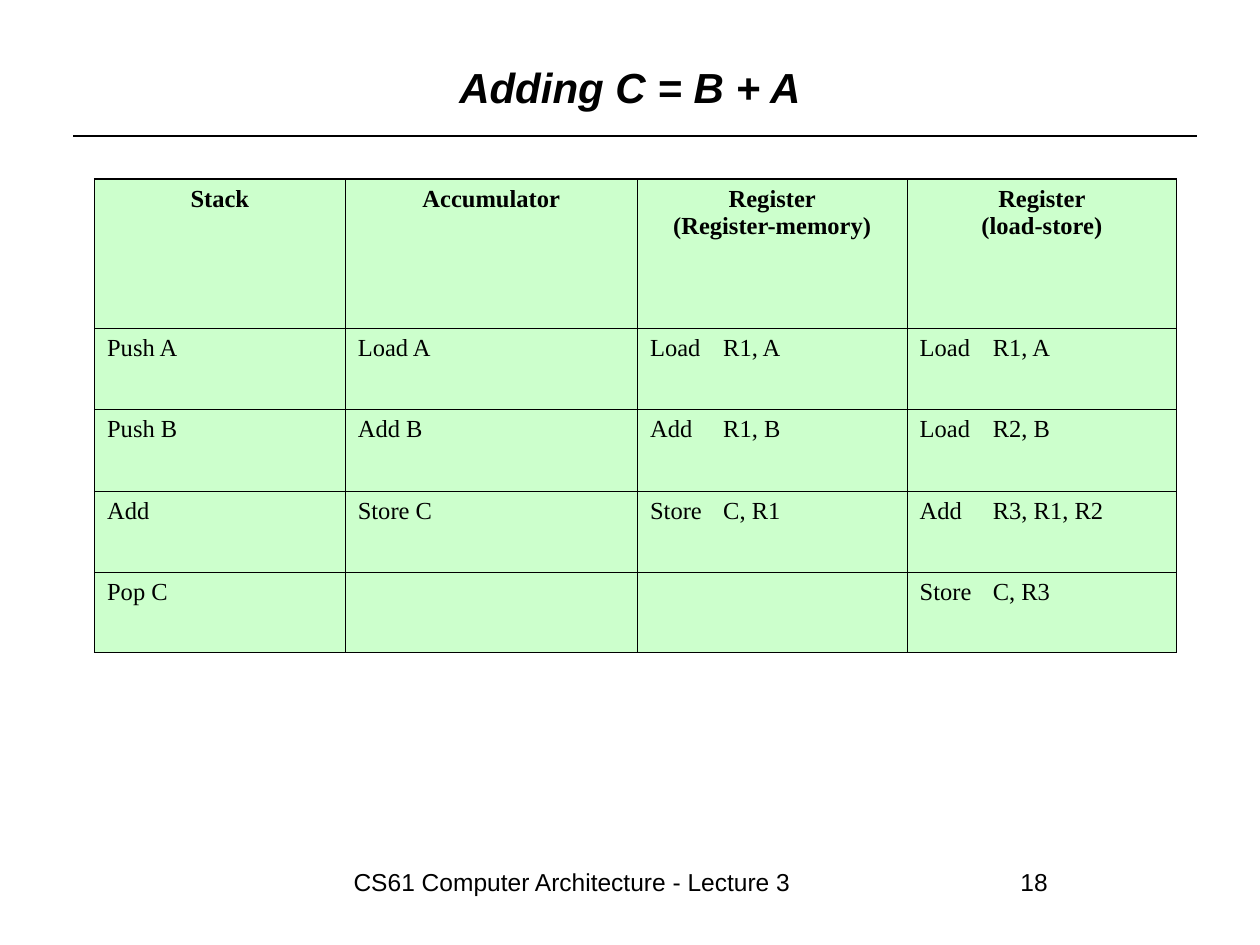
from lxml.etree import SubElement
from pptx import Presentation
from pptx.dml.color import RGBColor
from pptx.enum.shapes import MSO_CONNECTOR
from pptx.enum.text import MSO_ANCHOR, PP_ALIGN
from pptx.oxml.ns import qn
from pptx.util import Inches, Pt

BLACK, GREEN = "000000", "CCFFCC"
THIN, THICK = 0.45, 0.96

TITLE = {"name": "Arial", "size": Pt(24), "bold": True, "italic": True}
FOOT = {"name": "Arial", "size": Pt(14)}
BODY = {"name": "Times New Roman", "size": Pt(14), "bold": False}
HEAD = {**BODY, "bold": True}

WIDTHS = [1.99, 2.32, 2.14, 2.14]
HEIGHTS = [1.19, 0.64, 0.65, 0.64, 0.64]
ROWS = [
    ["Stack", "Accumulator", "Register\n(Register-memory)", "Register\n(load-store)"],
    ["Push A", "Load A", "Load\tR1, A", "Load\tR1, A"],
    ["Push B", "Add B", "Add\tR1, B", "Load\tR2, B"],
    ["Add", "Store C", "Store\tC, R1", "Add\tR3, R1, R2"],
    ["Pop C", "", "", "Store\tC, R3"],
]


def color(code):
    return RGBColor.from_string(code)


class Deck:
    def __init__(self, wide, high):
        self.show = Presentation()
        self.show.slide_width, self.show.slide_height = Inches(wide), Inches(high)
        self.slide = self.show.slides.add_slide(self.show.slide_layouts[6])

    def text(self, frame, words, style, align, tab=None):
        """Fill a text frame, one paragraph a line, with an optional tab stop."""
        frame.word_wrap = True
        for i, line in enumerate(words.split("\n")):
            para = frame.add_paragraph() if i else frame.paragraphs[0]
            para.alignment = align
            if tab and "\t" in line:
                stops = SubElement(para._p.get_or_add_pPr(), qn("a:tabLst"))
                SubElement(stops, qn("a:tab"), pos=str(Inches(tab)), algn="l")
            run = para.add_run()
            run.text = line
            for key, value in style.items():
                setattr(run.font, key, value)
            run.font.color.rgb = color(BLACK)

    def label(self, words, box, style, align=PP_ALIGN.LEFT, anchor=MSO_ANCHOR.TOP):
        shape = self.slide.shapes.add_textbox(*map(Inches, box))
        self.text(shape.text_frame, words, style, align)
        shape.text_frame.vertical_anchor = anchor

    def rule(self, left, right, top):
        ends = map(Inches, (left, top, right, top))
        line = self.slide.shapes.add_connector(MSO_CONNECTOR.STRAIGHT, *ends)
        line.line.color.rgb = color(BLACK)
        line.line.width = Pt(0.75)
        SubElement(line._element.spPr, qn("a:effectLst"))

    def border(self, cell, edges):
        """Draw cell borders; edges maps each side to whether it is outermost."""
        props = cell._tc.get_or_add_tcPr()
        for side, outer in edges.items():
            width = Pt(THICK if outer else THIN)
            line = SubElement(props, qn(f"a:ln{side}"), w=str(width))
            fill = SubElement(line, qn("a:solidFill"))
            SubElement(fill, qn("a:srgbClr"), val=BLACK)

    def table(self, left, top, rows, widths, heights):
        box = map(Inches, (left, top, sum(widths), sum(heights)))
        table = self.slide.shapes.add_table(len(rows), len(widths), *box).table
        table.first_row = table.horz_banding = False
        for col, width in zip(table.columns, widths):
            col.width = Inches(width)
        for row, height in zip(table.rows, heights):
            row.height = Inches(height)
        for r, texts in enumerate(rows):
            for c, words in enumerate(texts):
                cell = table.cell(r, c)
                self.border(cell, {"L": c == 0, "R": c == len(widths) - 1,
                                   "T": r == 0, "B": r == len(rows) - 1})
                cell.fill.solid()
                cell.fill.fore_color.rgb = color(GREEN)
                if words:
                    style, align = (BODY, PP_ALIGN.LEFT) if r else (HEAD, PP_ALIGN.CENTER)
                    self.text(cell.text_frame, words, style, align, tab=0.58)


def main():
    deck = Deck(10, 7.5)
    deck.rule(0.58, 9.5, 1.08)
    deck.label("CS61 Computer Architecture - Lecture 3", (2.5, 6.83, 4.08, 0.52),
               FOOT, PP_ALIGN.CENTER)
    deck.label("18", (8, 6.83, 0.75, 0.52), FOOT)
    deck.label("Adding C = B + A", (0.5, 0.3, 9, 0.78), TITLE,
               PP_ALIGN.CENTER, MSO_ANCHOR.MIDDLE)
    deck.table(0.75, 1.42, ROWS, WIDTHS, HEIGHTS)
    deck.show.save("out.pptx")


if __name__ == "__main__":
    main()
